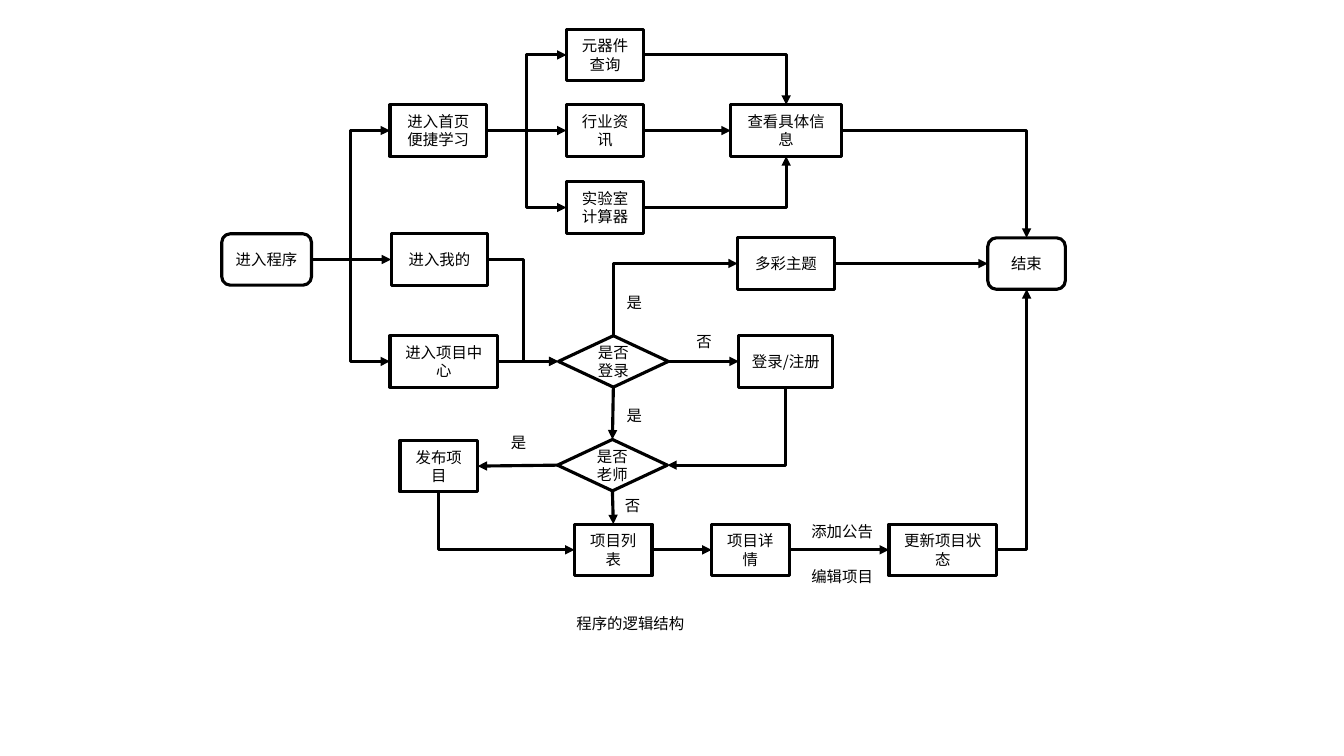
from dataclasses import dataclass

import pptx
import pptx.dml.color
import pptx.enum.shapes
import pptx.enum.text
import pptx.oxml
import pptx.oxml.ns
import pptx.util
from lxml import etree

Pt = pptx.util.Pt
qn = pptx.oxml.ns.qn
SHAPE = pptx.enum.shapes.MSO_SHAPE
CONNECTOR = pptx.enum.shapes.MSO_CONNECTOR
ALIGN = pptx.enum.text.PP_ALIGN

FONT = "Noto Sans CJK SC"
FONT_SIZE = 11
LINE_WIDTH = 2.25
BLACK, WHITE = "000000", "FFFFFF"
BOX_HEIGHT = 36.7
LABEL_HEIGHT = 20.9
TOP, LEFT, BOTTOM, RIGHT = range(4)

PROCESS = SHAPE.FLOWCHART_PROCESS
DECISION = SHAPE.FLOWCHART_DECISION
TERMINAL = SHAPE.FLOWCHART_ALTERNATE_PROCESS


@dataclass(frozen=True)
class Step:
    text: str
    x: float
    y: float
    w: float
    kind: SHAPE = PROCESS

    def side(self, i: int) -> tuple[float, float]:
        """Middle of the given side."""
        cx, cy = self.x + self.w / 2, self.y + BOX_HEIGHT / 2
        return ((cx, self.y), (self.x, cy),
                (cx, self.y + BOX_HEIGHT), (self.x + self.w, cy))[i]


@dataclass(frozen=True)
class Link:
    start: str
    start_side: int
    end: str
    end_side: int
    bends: int = 0


@dataclass(frozen=True)
class Label:
    text: str
    x: float
    y: float
    w: float = 25.9


STEPS = {
    # Entry and the three branches
    "enter": Step("进入程序", 158.4, 167, 64.1, TERMINAL),
    "home": Step("进入首页便捷学习", 278.6, 74.9, 69.1),
    "mine": Step("进入我的", 279.4, 167, 69.1),
    "center": Step("进入项目中心", 278.6, 239.8, 77),
    # Learning tools
    "parts": Step("元器件查询", 404.6, 20.9, 55.4),
    "news": Step("行业资讯", 404.6, 74.9, 55.4),
    "calc": Step("实验室计算器", 404.6, 129.9, 55.4),
    "info": Step("查看具体信息", 522, 74.9, 79.2),
    # Login and role checks
    "login": Step("是否登录", 398.9, 239.8, 78.5, DECISION),
    "register": Step("登录/注册", 527.8, 239.8, 67),
    "theme": Step("多彩主题", 527, 169.9, 69.1),
    "teacher": Step("是否老师", 398.2, 313.9, 78.5, DECISION),
    # Projects
    "publish": Step("发布项目", 285.8, 314.6, 55.4),
    "list": Step("项目列表", 410.4, 374.4, 55.4),
    "detail": Step("项目详情", 508.3, 374.4, 55.4),
    "update": Step("更新项目状态", 635, 374.4, 77),
    "end": Step("结束", 705.6, 169.9, 55.4, TERMINAL),
}

LINKS = [
    Link("enter", RIGHT, "home", LEFT, 2),
    Link("enter", RIGHT, "mine", LEFT),
    Link("enter", RIGHT, "center", LEFT, 2),
    Link("home", RIGHT, "parts", LEFT, 2),
    Link("home", RIGHT, "news", LEFT),
    Link("home", RIGHT, "calc", LEFT, 2),
    Link("parts", RIGHT, "info", TOP, 1),
    Link("news", RIGHT, "info", LEFT),
    Link("calc", RIGHT, "info", BOTTOM, 1),
    Link("info", RIGHT, "end", TOP, 1),
    Link("mine", RIGHT, "login", LEFT, 2),
    Link("center", RIGHT, "login", LEFT),
    Link("login", TOP, "theme", LEFT, 1),
    Link("login", RIGHT, "register", LEFT),
    Link("login", BOTTOM, "teacher", TOP),
    Link("register", BOTTOM, "teacher", RIGHT, 1),
    Link("theme", RIGHT, "end", LEFT),
    Link("teacher", LEFT, "publish", RIGHT),
    Link("teacher", BOTTOM, "list", TOP),
    Link("publish", BOTTOM, "list", LEFT, 1),
    Link("list", RIGHT, "detail", LEFT),
    Link("detail", RIGHT, "update", LEFT),
    Link("update", RIGHT, "end", BOTTOM, 1),
]

LABELS = [
    Label("是", 440.6, 205.9),
    Label("否", 490.3, 234),
    Label("是", 440.6, 286.6),
    Label("是", 357.8, 306),
    Label("否", 439.2, 350.6),
    Label("添加公告", 572.4, 369.4, 59),
    Label("编辑项目", 572.4, 401.8, 59),
    Label("程序的逻辑结构", 404.6, 434.9, 92.2),
]


def color(value: str) -> pptx.dml.color.RGBColor:
    return pptx.dml.color.RGBColor.from_string(value)


def set_text(tf, text: str, align: ALIGN) -> None:
    tf.text = text
    p = tf.paragraphs[0]
    p.alignment = align
    r = p.runs[0]
    r.font.size = Pt(FONT_SIZE)
    r.font.name = FONT
    r.font.color.rgb = color(BLACK)
    etree.SubElement(r.font._element, qn("a:ea")).set("typeface", FONT)


def style_line(line) -> None:
    line.color.rgb = color(BLACK)
    line.width = Pt(LINE_WIDTH)


def draw_step(s, step: Step):
    sp = s.shapes.add_shape(step.kind, Pt(step.x), Pt(step.y),
                            Pt(step.w), Pt(BOX_HEIGHT))
    sp.shadow.inherit = False
    sp.fill.solid()
    sp.fill.fore_color.rgb = color(WHITE)
    style_line(sp.line)
    sp.text_frame.word_wrap = True
    sp.text_frame.vertical_anchor = pptx.enum.text.MSO_ANCHOR.MIDDLE
    set_text(sp.text_frame, step.text, ALIGN.CENTER)
    return sp


def draw_link(s, link: Link, boxes: dict) -> None:
    x1, y1 = STEPS[link.start].side(link.start_side)
    x2, y2 = STEPS[link.end].side(link.end_side)
    # A single bend that leaves vertically is a quarter-turned connector
    turned = link.bends == 1 and link.start_side in (TOP, BOTTOM)
    if turned:
        cx, cy, dx, dy = (x1 + x2) / 2, (y1 + y2) / 2, x2 - x1, y2 - y1
        x1, y1, x2, y2 = cx - dy / 2, cy + dx / 2, cx + dy / 2, cy - dx / 2
    kind = CONNECTOR.ELBOW if link.bends else CONNECTOR.STRAIGHT
    cxn = s.shapes.add_connector(kind, Pt(x1), Pt(y1), Pt(x2), Pt(y2))
    style_line(cxn.line)
    props = cxn._element.spPr
    if link.bends == 0:
        cxn.begin_connect(boxes[link.start], link.start_side)
        cxn.end_connect(boxes[link.end], link.end_side)
    elif link.bends == 1:
        props.find(qn("a:prstGeom")).set("prst", "bentConnector2")
    if turned:
        props.find(qn("a:xfrm")).set("rot", "5400000")
    etree.SubElement(props.find(qn("a:ln")), qn("a:tailEnd")).set("type", "triangle")
    etree.SubElement(props, qn("a:effectLst"))


def draw_label(s, label: Label) -> None:
    tf = s.shapes.add_textbox(Pt(label.x), Pt(label.y), Pt(label.w),
                              Pt(LABEL_HEIGHT)).text_frame
    tf.word_wrap = False
    tf.auto_size = pptx.enum.text.MSO_AUTO_SIZE.SHAPE_TO_FIT_TEXT
    set_text(tf, label.text, ALIGN.LEFT)


def main() -> None:
    prs = pptx.Presentation()
    prs.slide_width, prs.slide_height = Pt(960), Pt(540)
    s = prs.slides.add_slide(prs.slide_layouts[6])
    boxes = {name: draw_step(s, step) for name, step in STEPS.items()}
    for link in LINKS:
        draw_link(s, link, boxes)
    for label in LABELS:
        draw_label(s, label)
    prs.save("out.pptx")


if __name__ == "__main__":
    main()
